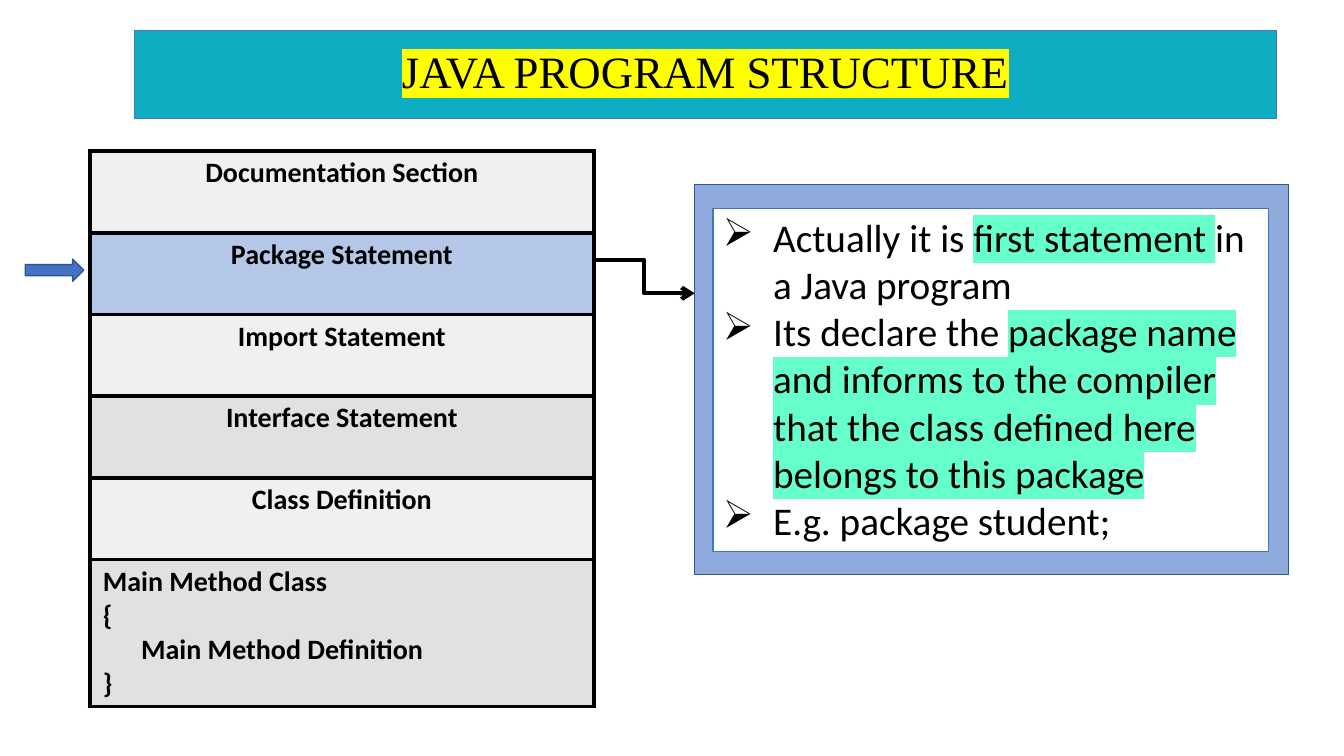
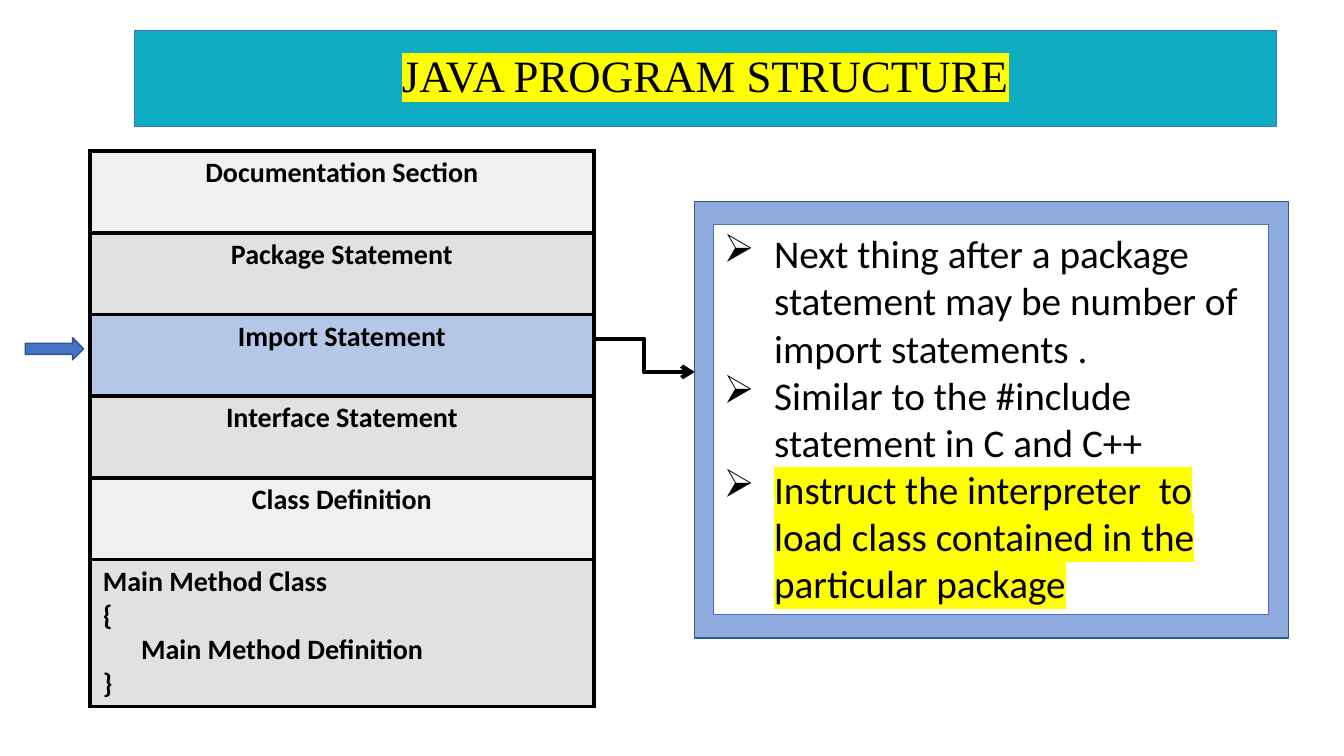
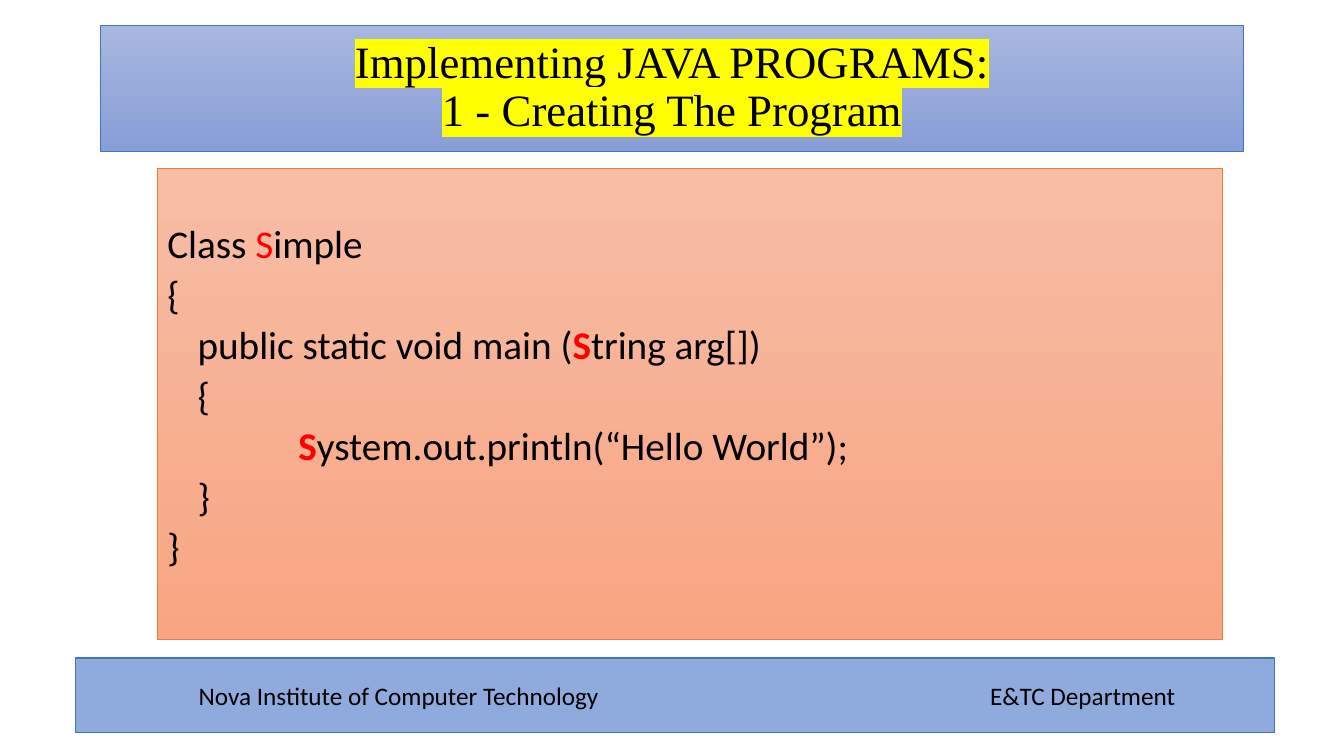
"""Build three slides on the structure and creation of Java programs."""
from lxml.etree import SubElement
from pptx import Presentation
from pptx.dml.color import RGBColor
from pptx.enum.shapes import MSO_CONNECTOR, MSO_SHAPE
from pptx.enum.text import MSO_ANCHOR, MSO_AUTO_SIZE, PP_ALIGN
from pptx.oxml import parse_xml
from pptx.oxml.ns import nsdecls, qn
from pptx.util import Inches, Pt

BLACK, WHITE, RED, YELLOW, MINT = "000000", "FFFFFF", "FF0000", "FFFF00", "66FFCC"
TEAL, BLUE, NAVY, PALE, ORANGE = "0EADC2", "4472C4", "325491", "8FAADC", "ED7D31"
ROW_FILLS, CURRENT_FILL = ("F0F0F0", "E1E1E1"), "B4C7E7"

SECTIONS = ["Documentation Section", "Package Statement", "Import Statement",
            "Interface Statement", "Class Definition"]
MAIN_METHOD = [("Main Method Class", 0), ("{", 0), ("Main Method Definition", 0.38), ("}", 0)]

STRUCTURE = [
    dict(title_height=0.87, current=1, frame=(6.89, 1.83, 5.89, 3.87), panel=(7.07, 2.07, 5.51, 3.4),
         points=[
             [("Actually it is ", {}), ("first statement ", {"mark": MINT}), ("in a Java program", {})],
             [("Its declare the ", {}),
              ("package name and informs to the compiler that the class defined here "
               "belongs to this package", {"mark": MINT})],
             [("E.g. package student;", {})]]),
    dict(title_height=0.95, current=2, frame=(6.89, 2, 5.89, 4.33), panel=(7.08, 2.23, 5.5, 3.87),
         points=[
             [("Next thing after a package statement may be number of import statements .", {})],
             [("Similar to the #include statement in C and C++", {})],
             [("Instruct the interpreter  to load class contained in the particular package",
               {"mark": YELLOW})]]),
]

KEY = {"color": RED, "bold": True}
CODE = [
    (0, [("Class ", {}), ("S", {"color": RED}), ("imple", {})]),
    (0, [("{", {})]),
    (0.3, [("public static void main (", {}), ("S", KEY), ("tring arg[])", {})]),
    (0.3, [("{", {})]),
    (1.3, [("S", KEY), ("ystem.out.println(“Hello World”);", {})]),
    (0.3, [("}", {})]),
    (0, [("}", {})]),
]
FOOTER = "Nova Institute of Computer Technology\tE&TC Department"


def rgb(color):
    """Turn a hex string into a colour."""
    return RGBColor.from_string(color)


def assign(target, **values):
    """Set several attributes of one object."""
    for name, value in values.items():
        setattr(target, name, value)


def place(sp, box):
    """Move a shape to a box given in inches."""
    for name, value in zip(("left", "top", "width", "height"), box):
        setattr(sp, name, Inches(value))


def paint(sp, fill, line, width):
    """Fill and outline a shape; a pair of colours makes a vertical gradient."""
    if isinstance(fill, tuple):
        sp.fill.gradient()
        sp.fill.gradient_angle = 270
        for stop, color in zip(sp.fill.gradient_stops, fill):
            stop.color.rgb = rgb(color)
    else:
        sp.fill.solid()
        sp.fill.fore_color.rgb = rgb(fill)
    sp.line.color.rgb = rgb(line)
    sp.line.width = Pt(width)


def add_box(slide, box, fill, line, width=1, kind=MSO_SHAPE.RECTANGLE):
    """Add a painted preset shape without shadow."""
    sp = slide.shapes.add_shape(kind, *map(Inches, box))
    sp.shadow.inherit = False
    paint(sp, fill, line, width)
    return sp


def write(p, runs, size, font="Calibri"):
    """Add formatted runs to a paragraph."""
    for text, style in runs:
        r = p.add_run()
        r.text = text
        assign(r.font, size=Pt(size), name=font, bold=style.get("bold", False))
        r.font.color.rgb = rgb(style.get("color", BLACK))
        if "mark" in style:
            r.font.fill._xPr.find(qn("a:solidFill")).addnext(parse_xml(
                f'<a:highlight {nsdecls("a")}><a:srgbClr val="{style["mark"]}"/></a:highlight>'))


def paragraphs(tf, items):
    """Yield one paragraph for each item, using the first that exists."""
    for i, item in enumerate(items):
        yield (tf.add_paragraph() if i else tf.paragraphs[0]), item


def indent(p, left, first=0, bullet=None):
    """Set the indents and the bullet of a paragraph."""
    pPr = p._p.get_or_add_pPr()
    pPr.set("marL", str(Inches(left)))
    pPr.set("indent", str(Inches(first)))
    if bullet:
        SubElement(pPr, qn("a:buChar")).set("char", bullet)
    else:
        SubElement(pPr, qn("a:buNone"))


def set_title(slide, lines, box, fill):
    """Format the title placeholder as a coloured band."""
    sp = slide.shapes.title
    place(sp, box)
    paint(sp, fill, BLUE, 0.5)
    assign(sp.text_frame, vertical_anchor=MSO_ANCHOR.MIDDLE, auto_size=MSO_AUTO_SIZE.NONE, word_wrap=True)
    for p, line in paragraphs(sp.text_frame, lines):
        assign(p, alignment=PP_ALIGN.CENTER, line_spacing=0.9)
        write(p, [(line, {"mark": YELLOW})], 32, "Times New Roman")


def add_sections(slide, current):
    """Add the table of program sections with the current one highlighted."""
    heights = [0.81] * len(SECTIONS) + [1.43]
    box = (0.89, 1.5, 5, sum(heights))
    table = slide.shapes.add_table(len(heights), 1, *map(Inches, box)).table
    for i, height in enumerate(heights):
        table.rows[i].height = Inches(height)
        cell = table.cell(i, 0)
        assign(cell, margin_left=Inches(0.13), margin_right=Inches(0.13))
        centred = i < len(SECTIONS)
        lines = [(SECTIONS[i], 0)] if centred else MAIN_METHOD
        for p, (text, left) in paragraphs(cell.text_frame, lines):
            p.alignment = PP_ALIGN.CENTER if centred else PP_ALIGN.LEFT
            indent(p, left)
            write(p, [(text, {"bold": True})], 20)
        tcPr = cell._tc.get_or_add_tcPr()
        for side in ("lnL", "lnR", "lnT", "lnB"):
            tcPr.append(parse_xml(
                f'<a:{side} {nsdecls("a")} w="{Pt(3)}"><a:solidFill><a:srgbClr val="{BLACK}"/>'
                f'</a:solidFill></a:{side}>'))
        cell.fill.solid()
        cell.fill.fore_color.rgb = rgb(CURRENT_FILL if i == current else ROW_FILLS[i % 2])


def add_elbow(slide, x1, y1, x2, y2):
    """Add a bent arrow between two points."""
    line = slide.shapes.add_connector(MSO_CONNECTOR.ELBOW, *map(Inches, (x1, y1, x2, y2)))
    line.line.color.rgb = rgb(BLACK)
    line.line.width = Pt(3)
    SubElement(line.line._get_or_add_ln(), qn("a:tailEnd")).set("type", "arrow")
    SubElement(line._element.spPr, qn("a:effectLst"))


def structure_slide(prs, title_height, current, frame, panel, points):
    """Build a slide that explains one section of the program."""
    slide = prs.slides.add_slide(prs.slide_layouts[5])
    set_title(slide, ["JAVA PROGRAM STRUCTURE"], (1.33, 0.3, 11.33, title_height), TEAL)
    add_sections(slide, current)
    add_box(slide, frame, PALE, NAVY)
    tf = add_box(slide, panel, WHITE, BLUE).text_frame
    assign(tf, word_wrap=True, vertical_anchor=MSO_ANCHOR.TOP)
    for p, runs in paragraphs(tf, points):
        p.alignment = PP_ALIGN.LEFT
        indent(p, 0.5, -0.5, "➢")
        write(p, runs, 28)
    y = 1.79 + 0.78 * current
    add_elbow(slide, 5.89, y + 0.01, 6.89, y + 0.34)
    add_box(slide, (0.25, y, 0.58, 0.22), BLUE, NAVY, kind=MSO_SHAPE.RIGHT_ARROW)


def code_slide(prs):
    """Build the slide with the first program."""
    slide = prs.slides.add_slide(prs.slide_layouts[1])
    set_title(slide, ["Implementing JAVA PROGRAMS:", "1 - Creating The Program"],
              (1, 0.25, 11.33, 1.25), ("A8B7DF", "889ED7"))
    body = slide.placeholders[1]
    place(body, (1.56, 1.67, 10.56, 4.67))
    paint(body, ("F7BDA5", "F8A582"), ORANGE, 0.5)
    assign(body.text_frame, auto_size=MSO_AUTO_SIZE.NONE, margin_top=Inches(0.56))
    for p, (left, runs) in paragraphs(body.text_frame, CODE):
        assign(p, line_spacing=0.9, space_before=Pt(5.8))
        indent(p, left)
        write(p, runs, 28)
    tf = add_box(slide, (0.75, 6.53, 11.89, 0.74), PALE, BLUE).text_frame
    assign(tf, word_wrap=True, margin_left=Inches(1.22), vertical_anchor=MSO_ANCHOR.MIDDLE)
    p = tf.paragraphs[0]
    p.alignment = PP_ALIGN.LEFT
    tabs = SubElement(p._p.get_or_add_pPr(), qn("a:tabLst"))
    SubElement(tabs, qn("a:tab"), pos=str(Inches(7.85)), algn="l")
    write(p, [(FOOTER, {})], 18)


def main():
    """Build and save the presentation."""
    prs = Presentation()
    assign(prs, slide_width=Inches(13.33), slide_height=Inches(7.5))
    for content in STRUCTURE:
        structure_slide(prs, **content)
    code_slide(prs)
    prs.save("out.pptx")


if __name__ == "__main__":
    main()
